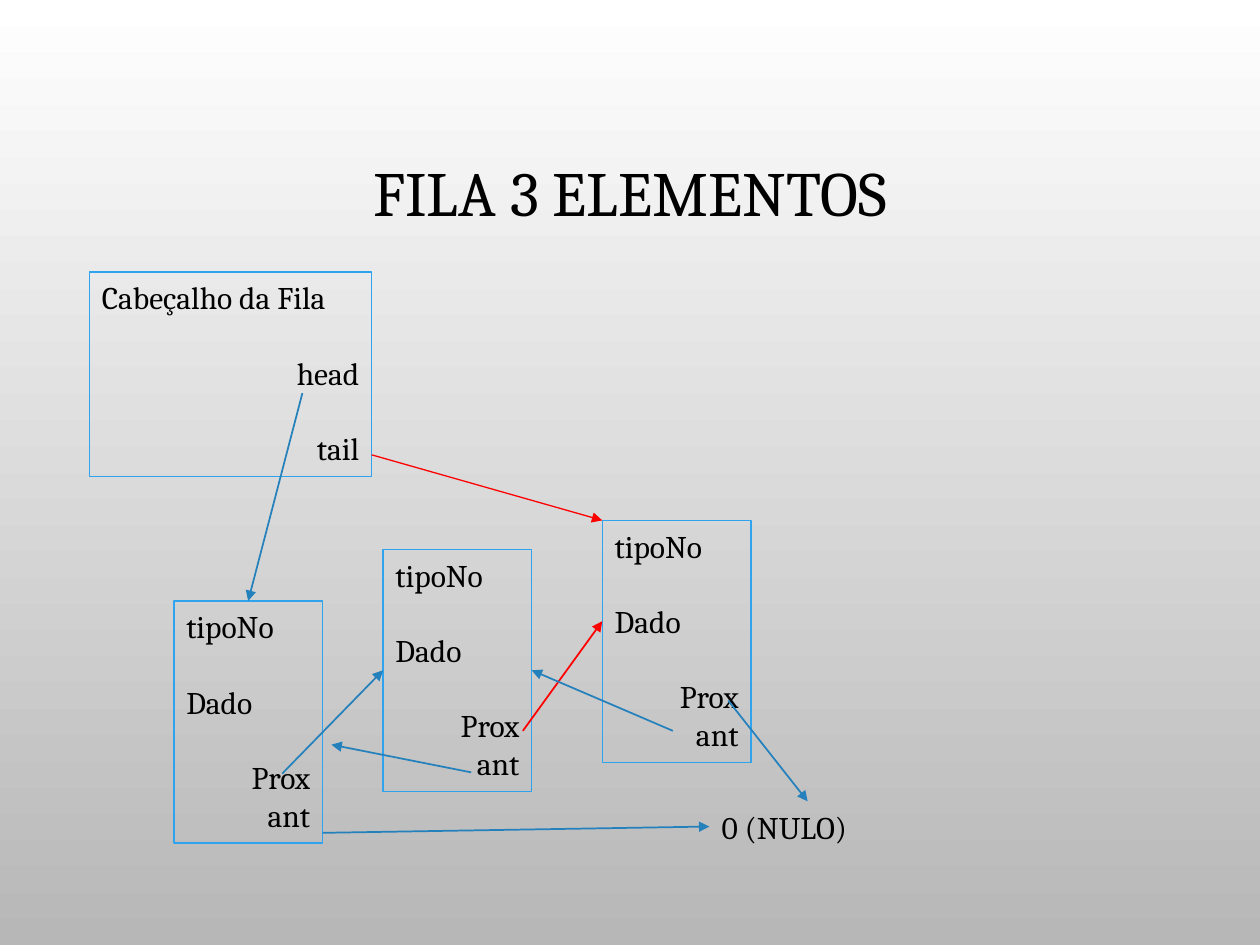
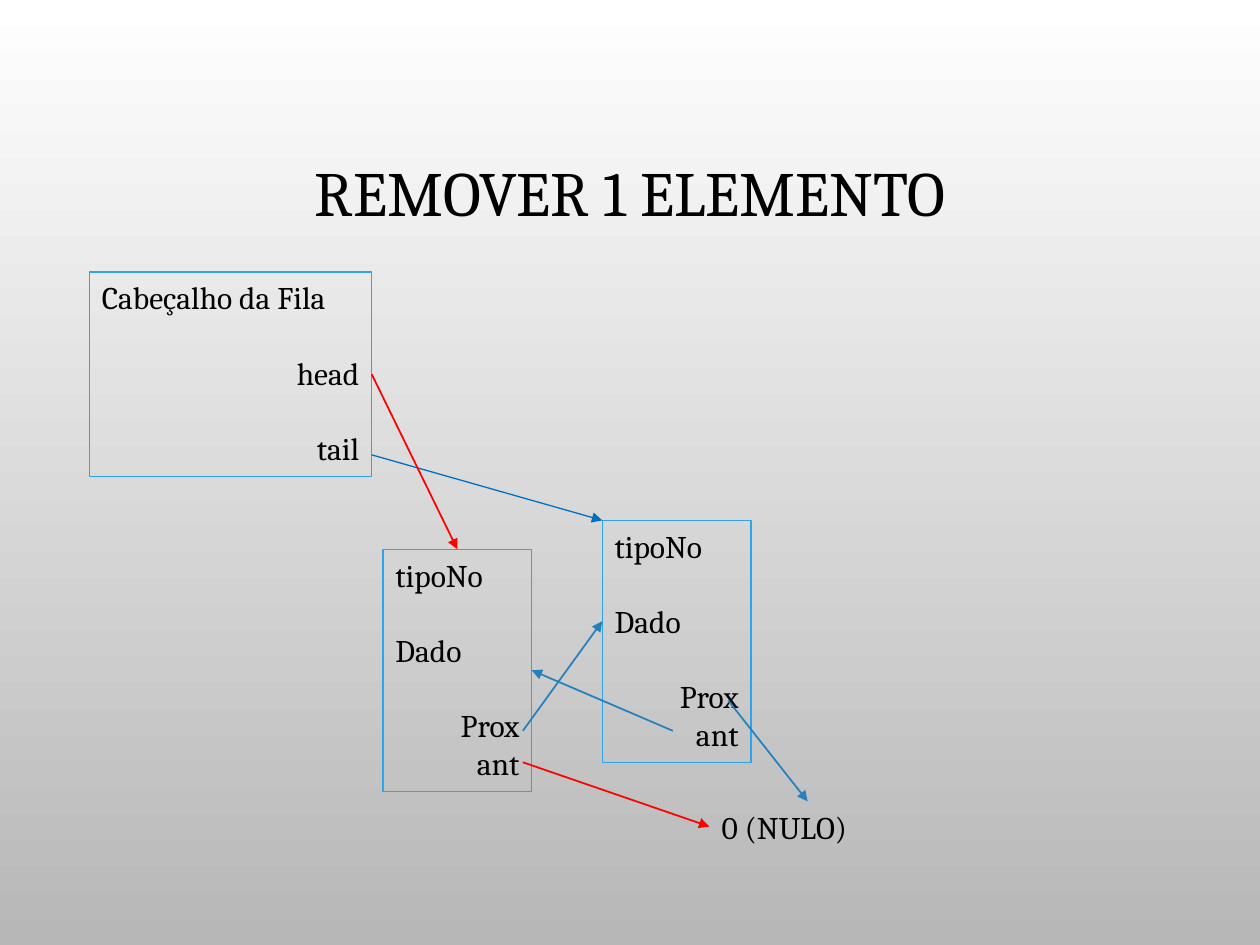
from dataclasses import dataclass

from lxml import etree
from pptx import Presentation
from pptx.dml.color import RGBColor
from pptx.enum import shapes, text
from pptx.oxml import ns
from pptx.util import Inches, Pt


@dataclass(frozen=True)
class Theme:
    font: str = "Cambria"
    ink: str = "000000"
    outline: str = "2FA3EE"
    arrow: str = "2581BC"
    tail_arrow: str = "0070C0"
    changed: str = "FF0000"
    background: tuple = ("FFFFFF", "B7B7B7")
    title_size: float = 36
    body_size: float = 18
    blank_line: float = 21.5
    thin: float = 0.75
    medium: float = 1


THEME = Theme()
TOP, LEFT, RIGHT = 0, 1, 3  # connection sites of a rectangle
NODE_SIZE = (1.18, 1.92)
NODE_PLACES = {"first": (1.38, 4.77), "second": (3.04, 4.36), "third": (4.78, 4.13)}

# Each line: wording, aligned right, blank line above
HEADER_LINES = [("Cabeçalho da Fila", False, False), ("head", True, True), ("tail", True, True)]
NODE_LINES = [("tipoNo", False, False), ("Dado", False, True),
              ("Prox", True, True), ("ant", True, False)]


def set_background(presentation):
    fill = presentation.slide_master.background.fill
    fill.gradient()
    fill.gradient_angle = 270
    for position, (stop, color) in enumerate(zip(fill.gradient_stops, THEME.background)):
        stop.color.rgb = RGBColor.from_string(color)
        stop.position = position


def write_line(paragraph, wording, font_size=THEME.body_size, align=text.PP_ALIGN.LEFT,
               space_before=0, line_spacing=1.0):
    paragraph.alignment = align
    paragraph.space_before = Pt(space_before)
    paragraph.line_spacing = line_spacing
    run = paragraph.add_run()
    run.text = wording
    run.font.name = THEME.font
    run.font.size = Pt(font_size)
    run.font.color.rgb = RGBColor.from_string(THEME.ink)


def add_label(slide, wording, place, size, **line_format):
    shape = slide.shapes.add_textbox(*map(Inches, place + size))
    frame = shape.text_frame
    frame.word_wrap = True
    frame.vertical_anchor = text.MSO_ANCHOR.MIDDLE
    write_line(frame.paragraphs[0], wording, **line_format)
    return shape


def add_record(slide, lines, place, size):
    """Outlined rectangle that lists the fields of a structure."""
    shape = slide.shapes.add_shape(shapes.MSO_SHAPE.RECTANGLE, *map(Inches, place + size))
    shape.shadow.inherit = False
    shape.fill.background()
    shape.line.color.rgb = RGBColor.from_string(THEME.outline)
    shape.line.width = Pt(THEME.thin)
    frame = shape.text_frame
    frame.word_wrap = True
    frame.auto_size = text.MSO_AUTO_SIZE.SHAPE_TO_FIT_TEXT
    frame.vertical_anchor = text.MSO_ANCHOR.TOP
    for index, (wording, on_right, gap_above) in enumerate(lines):
        paragraph = frame.add_paragraph() if index else frame.paragraphs[0]
        write_line(paragraph, wording,
                   align=text.PP_ALIGN.RIGHT if on_right else text.PP_ALIGN.LEFT,
                   space_before=THEME.blank_line if gap_above else 0)
    return shape


def add_arrow(slide, start, end, color=THEME.arrow, width=THEME.medium):
    """Each end is a point in inches or a pair of shape and connection site."""
    connector = slide.shapes.add_connector(shapes.MSO_CONNECTOR.STRAIGHT, 0, 0, 0, 0)
    if isinstance(start[0], (int, float)):
        connector.begin_x, connector.begin_y = map(Inches, start)
    else:
        connector.begin_connect(*start)
    if isinstance(end[0], (int, float)):
        connector.end_x, connector.end_y = map(Inches, end)
    else:
        connector.end_connect(*end)
    connector.line.color.rgb = RGBColor.from_string(color)
    connector.line.width = Pt(width)
    properties = connector._element.spPr
    etree.SubElement(properties.find(ns.qn("a:ln")), ns.qn("a:tailEnd"), type="triangle")
    etree.SubElement(properties, ns.qn("a:effectLst"))


def add_queue_slide(presentation, title, node_names, tail_color, next_color):
    """Parts that both states of the queue have in common."""
    slide = presentation.slides.add_slide(presentation.slide_layouts[6])
    add_label(slide, title, (0.75, 0.68), (8.5, 1.75), font_size=THEME.title_size,
              align=text.PP_ALIGN.CENTER, line_spacing=0.9)
    header = add_record(slide, HEADER_LINES, (0.71, 2.16), (2.24, 1.62))
    null = add_label(slide, "0 (NULO)", (5.63, 6.36), (1.56, 0.4))
    nodes = {name: add_record(slide, NODE_LINES, NODE_PLACES[name], NODE_SIZE)
             for name in node_names}

    # Tail pointer and the links of the last two nodes
    add_arrow(slide, (2.95, 3.61), NODE_PLACES["third"], tail_color, THEME.thin)
    add_arrow(slide, (4.15, 5.8), (4.78, 4.93), next_color)
    add_arrow(slide, (5.34, 5.8), (nodes["second"], RIGHT))
    add_arrow(slide, (5.78, 5.56), (null, TOP))
    return slide, header, null, nodes


def add_three_elements(presentation):
    slide, _, null, nodes = add_queue_slide(
        presentation, "FILA 3 ELEMENTOS", ["first", "second", "third"],
        THEME.changed, THEME.changed)
    add_arrow(slide, (2.4, 3.12), (nodes["first"], TOP))
    add_arrow(slide, (2.24, 6.14), (nodes["second"], LEFT))
    add_arrow(slide, (3.74, 6.13), (2.63, 5.91))
    add_arrow(slide, (2.56, 6.61), (null, LEFT))


def add_one_removed(presentation):
    slide, header, null, nodes = add_queue_slide(
        presentation, "REMOVER 1 ELEMENTO", ["second", "third"],
        THEME.tail_arrow, THEME.arrow)
    add_arrow(slide, (header, RIGHT), (nodes["second"], TOP), THEME.changed)
    add_arrow(slide, (4.15, 6.05), (null, LEFT), THEME.changed)


def main():
    presentation = Presentation()
    presentation.slide_width, presentation.slide_height = Inches(10), Inches(7.5)
    set_background(presentation)
    add_three_elements(presentation)
    add_one_removed(presentation)
    presentation.save("out.pptx")


if __name__ == "__main__":
    main()
